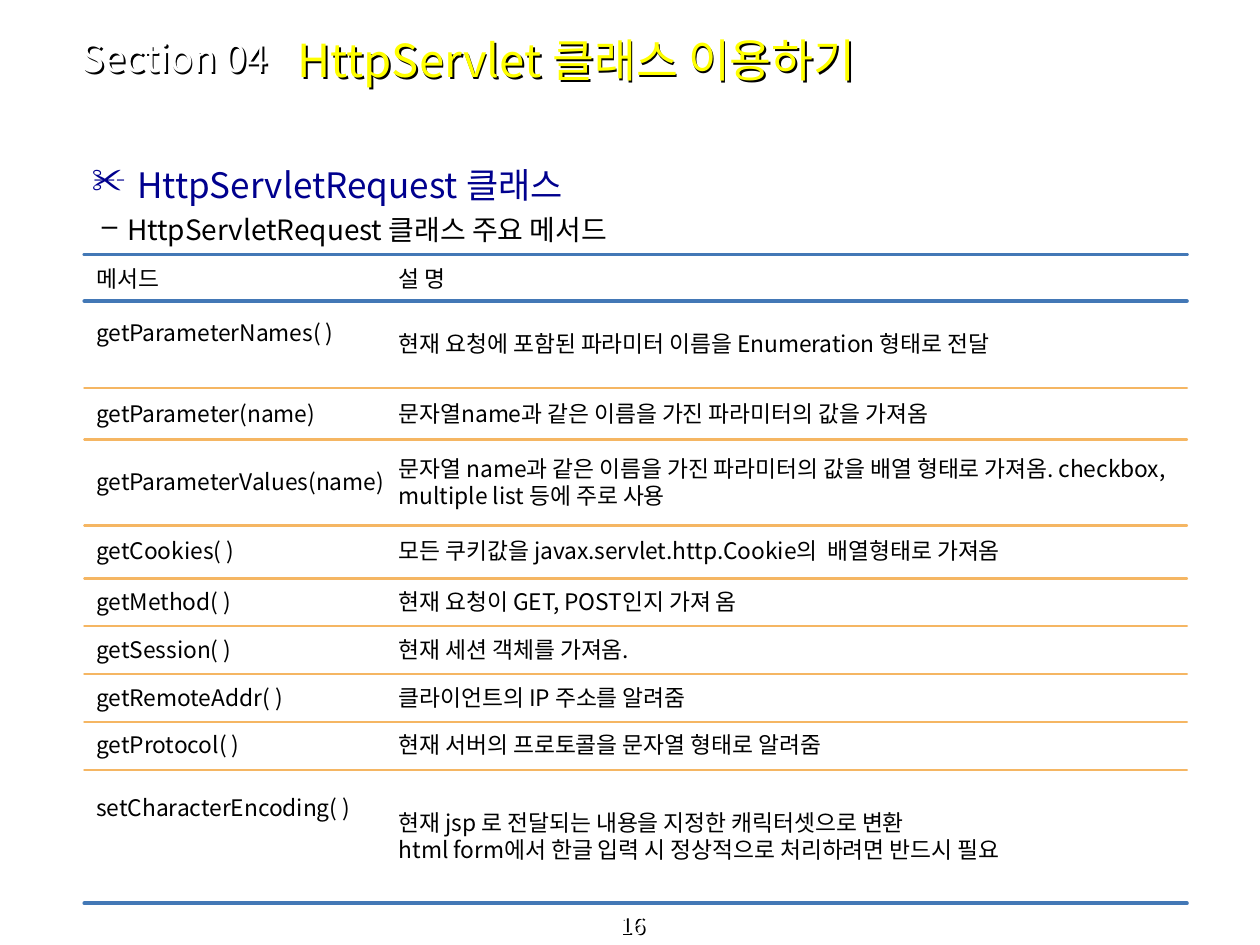
"""Build the slide on the main methods of HttpServletRequest."""
from itertools import accumulate
from lxml import etree
from pptx import Presentation
from pptx.dml.color import RGBColor
from pptx.enum.shapes import MSO_CONNECTOR as Link
from pptx.enum.text import MSO_ANCHOR as Anchor, PP_ALIGN as Align
from pptx.oxml import parse_xml as parse
from pptx.oxml.ns import nsdecls, qn
from pptx.util import Inches, Pt

FACE = "Noto Sans CJK KR"
BLUE, GOLD = "4378B6", "F5B663"
NS = nsdecls("a")

deck = Presentation()
deck.slide_width, deck.slide_height = Inches(10), Inches(7.5)
col, row = deck.slide_width // 100, deck.slide_height // 75
slide = deck.slides.add_slide(deck.slide_layouts[5])


def span(x, y, w, h):
    """Turn grid columns and rows into a left, top, width and height."""
    return int(x * col), int(y * row), int(w * col), int(h * row)


def paint(para, size, tint, face=FACE):
    """Format every run of a paragraph."""
    for run in para.runs:
        font = run.font
        font.size, font.name, font.bold = Pt(size), face, False
        font.color.rgb = RGBColor.from_string(tint)


title = slide.shapes.title
mark = slide.shapes.add_textbox(*span(5.5, 2.7, 19.3, 3.7))
page = slide.shapes.add_textbox(*span(0.2, 72.8, 100, 2.2))
title.left, title.top, title.width, title.height = span(21.6, 1.3, 64.9, 6.8)
heads = [
    (title, "HttpServlet 클래스 이용하기", 26, "FFFF00", Align.LEFT, Anchor.MIDDLE),
    (mark, "Section 04", 22, "FFFFFF", Align.LEFT, Anchor.MIDDLE),
    (page, "16", 13, "FFFFFF", Align.CENTER, Anchor.BOTTOM),
]
for shape, words, size, tint, align, anchor in heads:
    frame = shape.text_frame
    frame.text, frame.word_wrap, frame.vertical_anchor = words, True, anchor
    frame.paragraphs[0].alignment = align
    paint(frame.paragraphs[0], size, tint)
    shape.fill.background()
    shape._element.spPr.append(parse(
        f'<a:effectLst {NS}><a:outerShdw dist="17960" dir="2700000">'
        '<a:srgbClr val="000000"/></a:outerShdw></a:effectLst>'))
title.text_frame.margin_left = 2 * col

body = slide.shapes.add_textbox(*span(5.2, 10.8, 90, 9)).text_frame
body.word_wrap = True
points = [
    ("HttpServletRequest 클래스", "✂", 20, "00008E", 4.7, -3.6),
    ("HttpServletRequest 클래스 주요 메서드", "–", 16, "000000", 3.9, -2),
]
body.text = "\n".join(point[0] for point in points)
for para, (words, sign, size, tint, left, hang) in zip(body.paragraphs, points):
    props = para._p.get_or_add_pPr()
    props.set("marL", str(int(left * col)))
    props.set("indent", str(int(hang * col)))
    props.append(parse(f'<a:buClr {NS}><a:srgbClr val="{tint}"/></a:buClr>'))
    props.append(parse(f'<a:buChar {NS} char="{sign}"/>'))
    paint(para, size, tint)
body.paragraphs[0].line_spacing = 1.5
body.paragraphs[1].space_before = Pt(4)

rows = [
    ("메서드", "설 명", 3.7),
    ("getParameterNames( )", "현재 요청에 포함된 파라미터 이름을 Enumeration 형태로 전달", 6.9),
    ("getParameter(name)", "문자열name과 같은 이름을 가진 파라미터의 값을 가져옴", 4.1),
    ("getParameterValues(name)",
     "문자열 name과 같은 이름을 가진 파라미터의 값을 배열 형태로 가져옴. "
     "checkbox, multiple list 등에 주로 사용", 6.8),
    ("getCookies( )", "모든 쿠키값을 javax.servlet.http.Cookie의  배열형태로 가져옴", 4.2),
    ("getMethod( )", "현재 요청이 GET, POST인지 가져 옴", 3.8),
    ("getSession( )", "현재 세션 객체를 가져옴.", 3.8),
    ("getRemoteAddr( )", "클라이언트의 IP 주소를 알려줌", 3.8),
    ("getProtocol( )", "현재 서버의 프로토콜을 문자열 형태로 알려줌", 3.8),
    ("setCharacterEncoding( )",
     "현재 jsp 로 전달되는 내용을 지정한 캐릭터셋으로 변환\n"
     "html form에서 한글 입력 시 정상적으로 처리하려면 반드시 필요", 10.6),
]
high = {1: 1.5, 9: 2}
edges = list(accumulate((line[2] for line in rows), initial=20.2))
area = span(6.7, edges[0], 87.5, edges[-1] - edges[0])
table = slide.shapes.add_table(len(rows), 2, *area).table
table.first_row = table.horz_banding = False
table._tbl.tblPr.find(qn("a:tableStyleId")).text = "{2D5ABB26-0587-4C30-8999-92F81FD0307C}"
table.columns[0].width, table.columns[1].width = 24 * col, int(63.5 * col)
for i, (name, note, tall) in enumerate(rows):
    table.rows[i].height = int(tall * row)
    for j, words in enumerate((name, note)):
        cell = table.cell(i, j)
        cell.text = words
        cell.fill.background()
        cell.vertical_anchor = Anchor.MIDDLE
        cell.margin_left, cell.margin_right = int(0.95 * col), j * col
        cell.margin_top = cell.margin_bottom = row // 2
        if j == 0 and i in high:
            cell.vertical_anchor = Anchor.TOP
            cell.margin_top = int(high[i] * row)
        for para in cell.text_frame.paragraphs:
            para.line_spacing = 0.83 if i else 1.0
            paint(para, 13, "000000", FACE if i else "Arial Narrow")

for i, edge in enumerate(edges):
    left, top, wide, _ = span(6.7, edge, 87.5, 0)
    rule = slide.shapes.add_connector(Link.STRAIGHT, left, top, left + wide, top)
    bold = i in (0, 1, len(rows))
    rule.line.color.rgb = RGBColor.from_string(BLUE if bold else GOLD)
    rule.line.width = Pt(2.25 if bold else 1.5)
    rule.line._ln.set("cap", "rnd")
    etree.SubElement(rule._element.spPr, qn("a:effectLst"))

deck.save("out.pptx")
